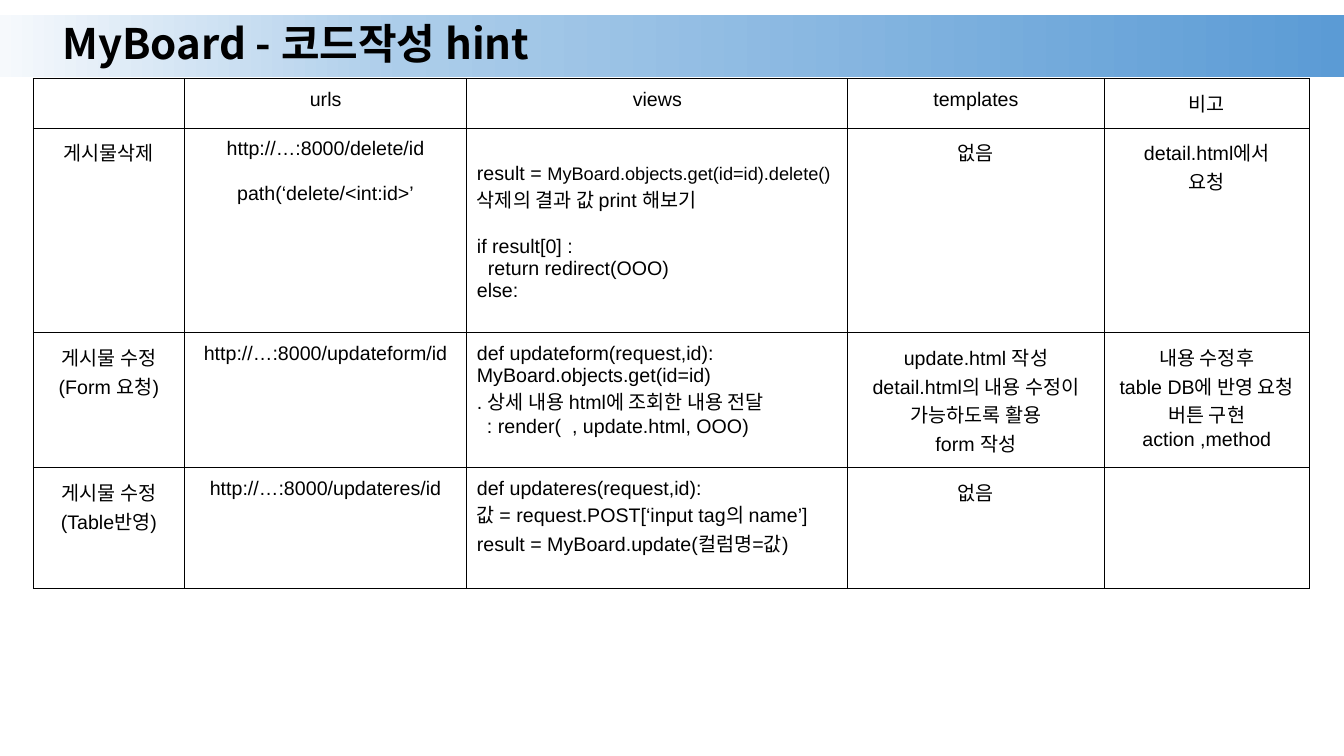
from lxml.etree import SubElement
from pptx import Presentation
from pptx.dml.color import RGBColor
from pptx.enum.shapes import MSO_SHAPE
from pptx.enum.text import MSO_ANCHOR, PP_ALIGN
from pptx.oxml.ns import qn
from pptx.util import Inches, Pt

LATIN, HANGUL = "Arial", "Noto Sans CJK KR"
INK = "000000"
BODY_SIZE = 14
BLANK_LINE = 16
PADDING = 0.1
BAND_STOPS = [(0, "F6F9FC"), (30, "ACCDEA"), (100, "5B9BD5")]

COLUMNS = [1.5, 2.8, 3.78, 2.54, 2.04]
ROWS = [0.49, 2.03, 1.34, 1.2]
VIEWS_COLUMN = 2
DELETE_ROW = 1

# A cell is a list of lines; a line is text, or (text, format).
HINTS = [
    [[], ["urls"], ["views"], ["templates"], ["비고"]],
    [
        ["게시물삭제"],
        ["http://…:8000/delete/id", ("path(‘delete/<int:id>’", {"before": BLANK_LINE})],
        [
            ("result = ", {"tail": "MyBoard.objects.get(id=id).delete()"}),
            "삭제의 결과 값 print 해보기",
            ("if result[0] :", {"before": BLANK_LINE}),
            ("return redirect(OOO)", {"indent": 0.11}),
            "else:",
        ],
        ["없음"],
        ["detail.html에서", "요청"],
    ],
    [
        ["게시물 수정", "(Form 요청)"],
        ["http://…:8000/updateform/id"],
        [
            "def updateform(request,id):",
            "MyBoard.objects.get(id=id)",
            ". 상세 내용 html에 조회한 내용 전달",
            (": render(  , update.html, OOO)", {"indent": 0.1}),
        ],
        ["update.html 작성", "detail.html의 내용 수정이 가능하도록 활용", "form 작성"],
        ["내용 수정후", "table DB에 반영 요청 버튼 구현", "action ,method"],
    ],
    [
        ["게시물 수정", "(Table반영)"],
        ["http://…:8000/updateres/id"],
        [
            "def updateres(request,id):",
            "값 = request.POST[‘input tag의 name’]",
            "result = MyBoard.update(컬럼명=값)",
        ],
        ["없음"],
        [],
    ],
]


def color(value):
    return RGBColor.from_string(value)


def add_run(paragraph, text, size, latin, bold):
    run = paragraph.add_run()
    run.text = text
    run.font.size = Pt(size)
    run.font.name = latin
    run.font.bold = bold
    run.font.color.rgb = color(INK)
    SubElement(run._r.get_or_add_rPr(), qn("a:ea"), typeface=HANGUL)


def write(paragraph, text, size=BODY_SIZE, latin=LATIN, bold=False,
          align=PP_ALIGN.LEFT, before=0, indent=0, tail="", spacing=None):
    """Fill one paragraph; tail is a second run, one point smaller."""
    paragraph.alignment = align
    paragraph.space_before = Pt(before)
    paragraph.line_spacing = spacing
    if indent:
        paragraph._p.get_or_add_pPr().set("marL", str(Inches(indent)))
    add_run(paragraph, text, size, latin, bold)
    if tail:
        add_run(paragraph, tail, size - 1, latin, bold)


def add_band(slide, left, top, width, height):
    band = slide.shapes.add_shape(
        MSO_SHAPE.RECTANGLE, Inches(left), Inches(top), Inches(width), Inches(height))
    band.shadow.inherit = False
    band.line.fill.background()
    band.fill.gradient()
    band.fill.gradient_angle = 0
    stops = band._element.spPr.find(qn("a:gradFill")).find(qn("a:gsLst"))
    for old in list(stops):
        stops.remove(old)
    for share, shade in BAND_STOPS:
        stop = SubElement(stops, qn("a:gs"), pos=str(share * 1000))
        SubElement(stop, qn("a:srgbClr"), val=shade)
    slide.shapes._spTree.insert(2, band._element)  # behind the title


def add_heading(slide, text, left, top, width, height):
    add_band(slide, 0, top, 13.33, height)
    title = slide.shapes.title
    title.left, title.top = Inches(left), Inches(top)
    title.width, title.height = Inches(width), Inches(height)
    title.text_frame.vertical_anchor = MSO_ANCHOR.MIDDLE
    write(title.text_frame.paragraphs[0], text, size=30, latin=HANGUL,
          bold=True, spacing=0.9)


def add_borders(cell):
    properties = cell._tc.get_or_add_tcPr()
    for side in ("lnL", "lnR", "lnT", "lnB"):
        border = SubElement(properties, qn(f"a:{side}"), w=str(Pt(0.75)))
        SubElement(SubElement(border, qn("a:solidFill")), qn("a:srgbClr"), val=INK)


def fill_cell(cell, lines, align, top_padding):
    add_borders(cell)
    cell.fill.background()
    if not lines:
        return
    cell.margin_left = cell.margin_right = cell.margin_bottom = Inches(PADDING)
    cell.margin_top = Inches(top_padding)
    frame = cell.text_frame
    for number, line in enumerate(lines):
        text, style = (line, {}) if isinstance(line, str) else line
        paragraph = frame.add_paragraph() if number else frame.paragraphs[0]
        write(paragraph, text, align=align, **style)


def add_hint_table(slide, left, top):
    hints = slide.shapes.add_table(
        len(ROWS), len(COLUMNS), Inches(left), Inches(top),
        Inches(sum(COLUMNS)), Inches(sum(ROWS))).table
    hints.first_row = hints.horz_banding = False
    for column, width in zip(hints.columns, COLUMNS):
        column.width = Inches(width)
    for r, (height, contents) in enumerate(zip(ROWS, HINTS)):
        hints.rows[r].height = Inches(height)
        for c, lines in enumerate(contents):
            is_code = r > 0 and c == VIEWS_COLUMN
            lowered = is_code and r == DELETE_ROW
            fill_cell(hints.cell(r, c), lines,
                      PP_ALIGN.LEFT if is_code else PP_ALIGN.CENTER,
                      PADDING + 0.24 if lowered else PADDING)


def main():
    deck = Presentation()
    deck.slide_width, deck.slide_height = Inches(13.33), Inches(7.5)
    slide = deck.slides.add_slide(deck.slide_layouts[5])
    add_heading(slide, "MyBoard - 코드작성 hint", 0.52, 0.15, 9.94, 0.61)
    add_hint_table(slide, 0.33, 0.78)
    deck.save("out.pptx")


if __name__ == "__main__":
    main()
